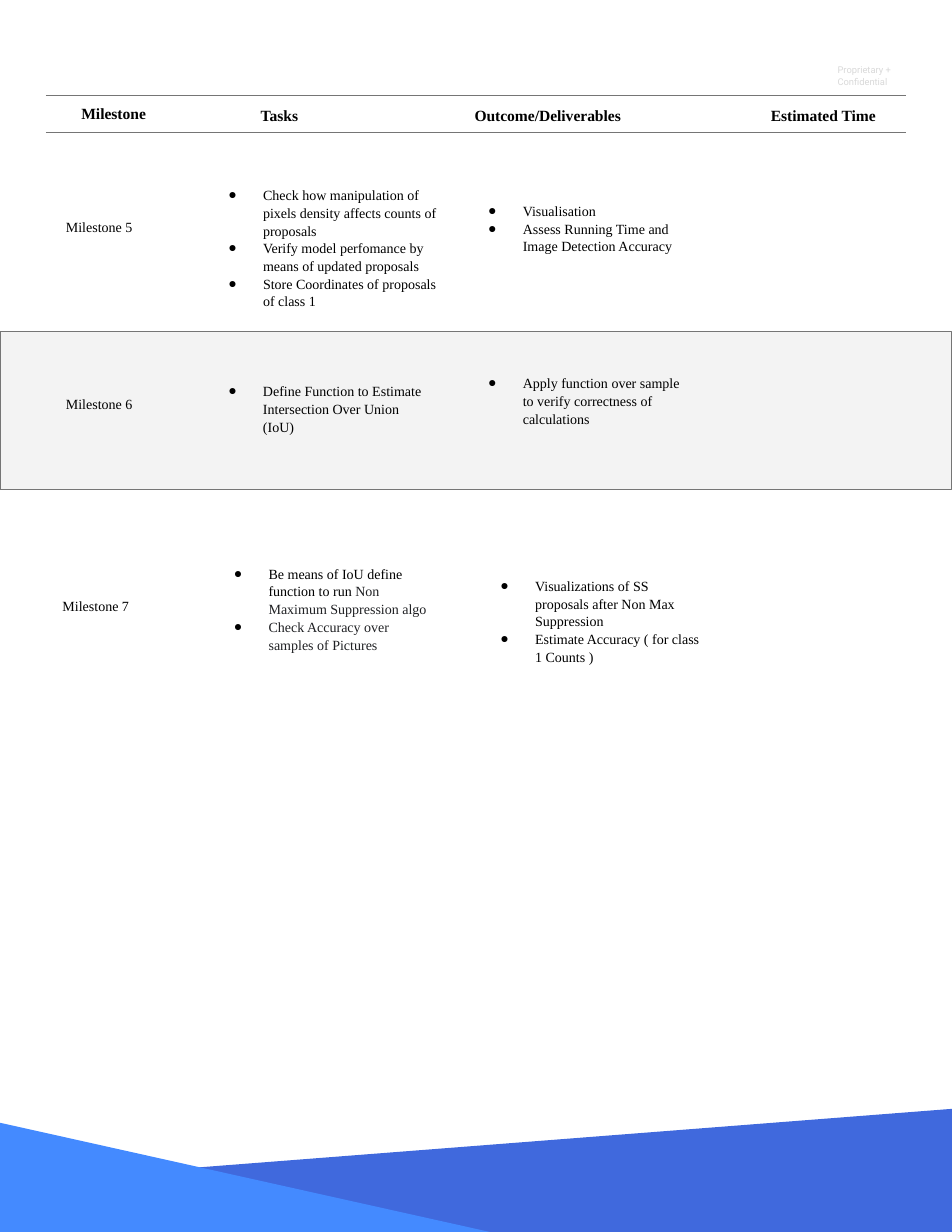
from lxml.etree import SubElement
from pptx import Presentation
from pptx.dml.color import RGBColor
from pptx.enum.shapes import MSO_CONNECTOR, MSO_SHAPE
from pptx.enum.text import MSO_AUTO_SIZE, PP_ALIGN
from pptx.oxml.ns import qn
from pptx.util import Inches, Pt

SERIF = "Times New Roman"
BLACK, CHARCOAL, GREY, PALE = "000000", "202124", "757575", "F3F3F3"


def color(hex_code):
    return RGBColor.from_string(hex_code)


def add_text(box, paragraphs, size=9, font=SERIF, bold=False, align=None, bullets=False):
    """Add a text box; each paragraph is a list of (text, hex colour) runs."""
    frame = slide.shapes.add_textbox(*[Inches(v) for v in box]).text_frame
    frame.word_wrap = True
    frame.auto_size = MSO_AUTO_SIZE.SHAPE_TO_FIT_TEXT
    frame.margin_left = frame.margin_right = Inches(0.1)
    frame.margin_top = frame.margin_bottom = Inches(0.1)
    for i, runs in enumerate(paragraphs):
        paragraph = frame.paragraphs[0] if i == 0 else frame.add_paragraph()
        paragraph.alignment = align
        paragraph.line_spacing = 1.05
        for words, hex_code in runs:
            run = paragraph.add_run()
            run.text = words
            run.font.size, run.font.name, run.font.bold = Pt(size), font, bold
            run.font.color.rgb = color(hex_code)
        if bullets:
            props = paragraph._p.get_or_add_pPr()
            props.set("marL", str(Inches(0.5)))
            props.set("indent", str(Inches(-0.31)))
            bullet_color = SubElement(props, qn("a:buClr"))
            SubElement(bullet_color, qn("a:srgbClr"), val=BLACK)
            SubElement(props, qn("a:buFont"), typeface=SERIF)
            SubElement(props, qn("a:buChar"), char="●")


prs = Presentation()
prs.slide_width, prs.slide_height = Inches(8.5), Inches(11)
slide = prs.slides.add_slide(prs.slide_layouts[6])

# Page furniture
add_text((7.38, 0.47, 1.12, 0.65), [[("Proprietary + Confidential", "D9D9D9")]],
         size=6, font="Roboto")
footer_bands = [
    ("4069DD", [(8.52, 11.07), (8.51, 9.9), (0.02, 10.56), (0.03, 11)]),
    ("448AFF", [(4.42, 11.01), (-0.02, 10.02), (-0.01, 11.04)]),
]
for fill, corners in footer_bands:
    points = [(Inches(x), Inches(y)) for x, y in corners]
    builder = slide.shapes.build_freeform(*points[0])
    builder.add_line_segments(points[1:], close=True)
    band = builder.convert_to_shape()
    band.shadow.inherit = False
    band.fill.solid()
    band.fill.fore_color.rgb = color(fill)
    band.line.fill.background()

# Header row
for y in (0.85, 1.18):
    rule = slide.shapes.add_connector(
        MSO_CONNECTOR.STRAIGHT, Inches(0.41), Inches(y), Inches(8.09), Inches(y))
    rule.line.color.rgb = color(GREY)
    rule.line.width = Pt(0.75)
    SubElement(rule._element.spPr, qn("a:effectLst"))

headings = [
    ("Milestone", 0.55, 0.83, 0.93),
    ("Tasks", 2.03, 0.85, 0.93),
    ("Outcome/Deliverables", 4.07, 0.85, 1.64),
    ("Estimated Time", 6.66, 0.85, 1.38),
]
for heading, left, top, width in headings:
    add_text((left, top, width, 0.37), [[(heading, BLACK)]],
             size=10, bold=True, align=PP_ALIGN.CENTER)

# Shaded row behind Milestone 6
row_band = slide.shapes.add_shape(
    MSO_SHAPE.RECTANGLE, Inches(0), Inches(2.96), Inches(8.5), Inches(1.41))
row_band.shadow.inherit = False
row_band.fill.solid()
row_band.fill.fore_color.rgb = color(PALE)
row_band.line.color.rgb = color(GREY)
row_band.line.width = Pt(0.75)

# Each milestone: name, then the tasks and the outcomes with their boxes
milestones = [
    ("Milestone 5", (0.49, 1.86),
     (1.75, 1.56, 2.25, 1.26),
     [[("Check how manipulation of pixels density affects counts of proposals", BLACK)],
      [("Verify model perfomance by means of updated proposals", BLACK)],
      [("Store Coordinates of proposals of class 1", BLACK)]],
     (4.07, 1.7, 2.14, 0.66),
     [[("Visualisation", BLACK)],
      [("Assess Running Time and Image Detection Accuracy", BLACK)]]),
    ("Milestone 6", (0.49, 3.44),
     (1.75, 3.31, 2.14, 0.66),
     [[("Define Function to Estimate Intersection Over Union (IoU)", BLACK)]],
     (4.07, 3.24, 2.17, 0.66),
     [[("Apply function over sample to verify correctness of calculations", BLACK)]]),
    ("Milestone 7", (0.46, 5.25),
     (1.8, 4.94, 2.17, 0.96),
     [[("Be means of IoU define function to run ", BLACK),
       ("Non Maximum Suppression algo", CHARCOAL)],
      [("Check Accuracy over samples of Pictures", CHARCOAL)]],
     (4.18, 5.05, 2.17, 0.96),
     [[("Visualizations of SS proposals after Non Max Suppression", BLACK)],
      [("Estimate Accuracy ( for class 1 Counts )", BLACK)]]),
]
for name, (left, top), tasks_box, tasks, outcomes_box, outcomes in milestones:
    add_text((left, top, 1.04, 0.35), [[(name, BLACK)]])
    add_text(tasks_box, tasks, bullets=True)
    add_text(outcomes_box, outcomes, bullets=True)

prs.save("out.pptx")
